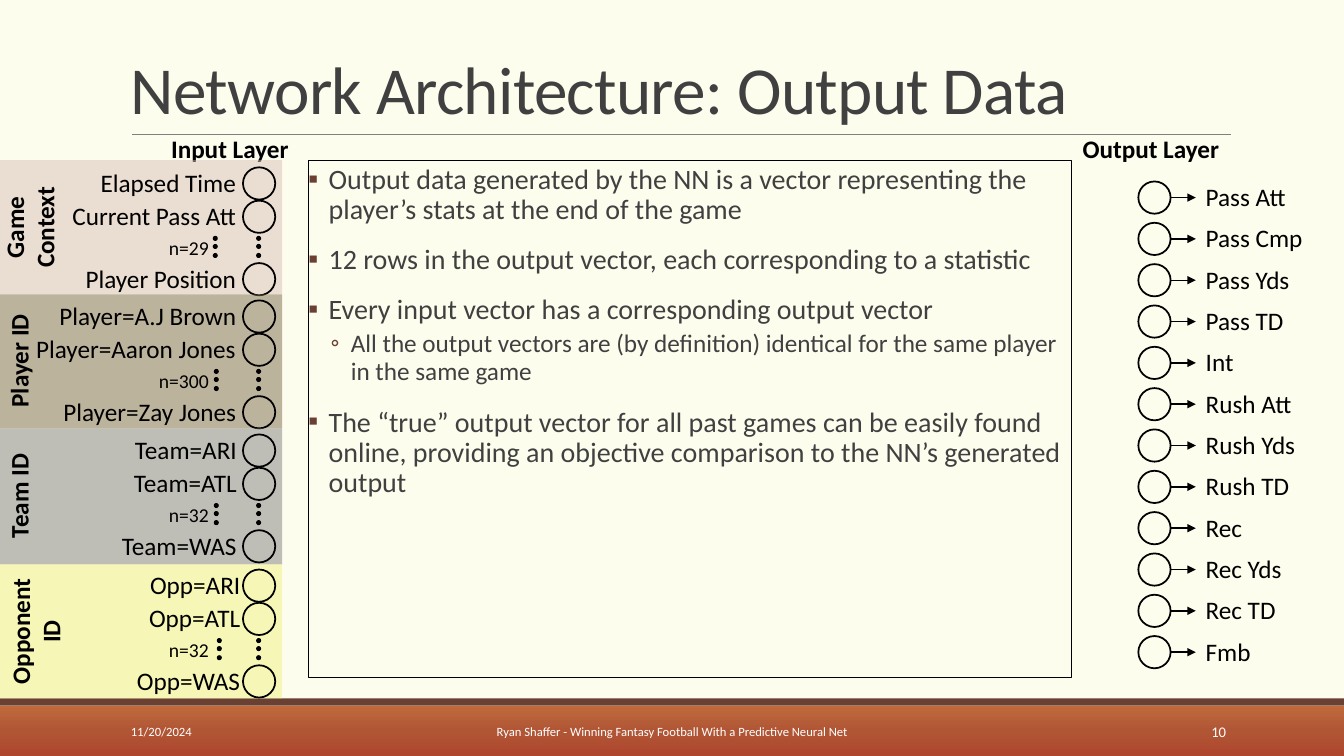
"""Builds the slide on the output data of a neural network, with its input and output layers."""
from copy import deepcopy
from dataclasses import dataclass
from lxml.etree import SubElement
from pptx import Presentation
from pptx.dml.color import RGBColor
from pptx.enum.shapes import MSO_CONNECTOR, MSO_SHAPE
from pptx.enum.text import MSO_ANCHOR, MSO_AUTO_SIZE, PP_ALIGN
from pptx.oxml.ns import qn
from pptx.util import Pt

PX = 9144


@dataclass
class Theme:
    font: str = "Calibri"
    back: str = "FDFDEE"
    ink: str = "000000"
    grey: str = "404040"
    rule: str = "808080"
    brown: str = "694032"
    white: str = "FFFFFF"
    footer: tuple = ("BF693C", "B15635", "AE452D")
    title: float = 48
    body: float = 20
    label: float = 18
    count: float = 14
    number: float = 10.5
    small: float = 9


T = Theme()
prs = Presentation()
prs.slide_width, prs.slide_height = 1333 * PX, 750 * PX
s = prs.slides.add_slide(prs.slide_layouts[6])
s.background.fill.solid()
s.background.fill.fore_color.rgb = RGBColor.from_string(T.back)


def add_shape(parent, kind, box, fill=None, line=None, alpha=None):
    sp = parent.shapes.add_shape(kind, *(v * PX for v in box))
    sp.shadow.inherit = False
    if fill:
        sp.fill.solid()
        sp.fill.fore_color.rgb = RGBColor.from_string(fill)
    else:
        sp.fill.background()
    if alpha:
        clr = sp._element.spPr.find(qn("a:solidFill"))[0]
        SubElement(clr, qn("a:alpha")).set("val", str(alpha * 1000))
    if line:
        sp.line.color.rgb = RGBColor.from_string(T.ink)
        sp.line.width = Pt(line)
    else:
        sp.line.fill.background()
    return sp


def add_text(parent, box, words, size=T.label, color=T.ink, bold=False, align=PP_ALIGN.LEFT,
             wrap=False, anchor=MSO_ANCHOR.TOP, grow=True):
    sp = parent.shapes.add_textbox(*(v * PX for v in box))
    tf = sp.text_frame
    tf.text = words
    tf.word_wrap = wrap
    tf.vertical_anchor = anchor
    tf.auto_size = MSO_AUTO_SIZE.SHAPE_TO_FIT_TEXT if grow else MSO_AUTO_SIZE.NONE
    p = tf.paragraphs[0]
    p.alignment = align
    f = p.runs[0].font
    f.name, f.size, f.bold = T.font, Pt(size), bold
    f.color.rgb = RGBColor.from_string(color)
    return sp


footer = add_shape(s, MSO_SHAPE.RECTANGLE, (0, 700, 1333, 50))
footer.fill.gradient()
footer.fill.gradient_angle = 270
stops = footer._element.spPr.find(qn("a:gradFill")).find(qn("a:gsLst"))
stops.insert(1, deepcopy(stops[0]))
for stop, color, position in zip(footer.fill.gradient_stops, T.footer, (0, 0.5, 1)):
    stop.color.rgb = RGBColor.from_string(color)
    stop.position = position
add_shape(s, MSO_SHAPE.RECTANGLE, (0, 693, 1333, 7), T.brown)

rule = s.shapes.add_connector(MSO_CONNECTOR.STRAIGHT, 131 * PX, 133 * PX, 1221 * PX, 133 * PX)
rule.line.color.rgb = RGBColor.from_string(T.rule)
rule.line.width = Pt(0.5)
SubElement(rule._element.spPr, qn("a:effectLst"))

title = add_text(s, (120, 31, 1100, 101), "Network Architecture: Output Data", T.title, T.grey,
                 wrap=True, anchor=MSO_ANCHOR.BOTTOM, grow=False)
p = title.text_frame.paragraphs[0]
p.line_spacing = 0.85
p.runs[0]._r.get_or_add_rPr().set("spc", "-50")

for box, words in (((159, 127, 138, 40), "Input Layer"), ((1063, 127, 157, 40), "Output Layer")):
    add_text(s, box, words, bold=True, align=PP_ALIGN.CENTER)

# name, name centre, name height, top, height, fill, first node, label right, dots left, count, count width, labels
bands = [
    ("Game Context", 30, 71, 159, 133, "D8BFB6", 166, 246, 211, "n=29", 67,
     [("Elapsed Time", 156), ("Current Pass Att", 184), ("Player Position", 171)]),
    ("Player ID", 19, 40, 292, 133, "7C6B4D", 298, 246, 212, "n=300", 85,
     [("Player=A.J Brown", 197), ("Player=Aaron Jones", 220), ("Player=Zay Jones", 193)]),
    ("Team ID", 19, 40, 425, 135, "808080", 431, 246, 212, "n=32", 67,
     [("Team=ARI", 122), ("Team=ATL", 123), ("Team=WAS", 135)]),
    ("Opponent ID", 36, 71, 560, 133, "F0F080", 565, 250, 215, "n=32", 67,
     [("Opp=ARI", 111), ("Opp=ATL", 112), ("Opp=WAS", 124)]),
]
for name, mid, deep, top, height, fill, node, right, dots, count, wide, labels in bands:
    add_shape(s, MSO_SHAPE.RECTANGLE, (0, top, 280, height), fill, alpha=50)
    add_text(s, (217 - wide, node + 63, wide, 34), count, T.count, align=PP_ALIGN.RIGHT, wrap=True)
    nodes = s.shapes.add_group_shape()
    for (label, width), dy in zip(labels, (0, 33, 95)):
        add_shape(nodes, MSO_SHAPE.OVAL, (241, node + dy, 32, 32), line=1.25)
        add_text(s, (right - width, node + dy - 5, width, 40), label)
    for x in (254, dots):
        ellipsis = s.shapes.add_group_shape()
        for dy in (68, 76, 85):
            add_shape(ellipsis, MSO_SHAPE.OVAL, (x, node + dy, 5, 5), T.ink)
    side = add_text(s, (mid - 67, top + (height - deep) // 2, 133, deep), name, bold=True,
                    align=PP_ALIGN.CENTER, wrap=True)
    side.rotation = 270

outputs = [("Pass Att", 101), ("Pass Cmp", 117), ("Pass Yds", 104), ("Pass TD", 98),
           ("Int", 48), ("Rush Att", 107), ("Rush Yds", 110), ("Rush TD", 104),
           ("Rec", 57), ("Rec Yds", 96), ("Rec TD", 90), ("Fmb", 65)]
layer = s.shapes.add_group_shape()
for i, (label, width) in enumerate(outputs):
    y = 196 + 41 * i
    add_shape(layer, MSO_SHAPE.OVAL, (1129, y - 16, 32, 32), line=1.25)
    add_text(layer, (1186, y - 21, width, 40), label)
    arrow = layer.shapes.add_connector(MSO_CONNECTOR.STRAIGHT, 1161 * PX, y * PX, 1186 * PX, y * PX)
    arrow.line.color.rgb = RGBColor.from_string(T.ink)
    arrow.line.width = Pt(1)
    SubElement(arrow.line._get_or_add_ln(), qn("a:tailEnd")).set("type", "triangle")
    SubElement(arrow._element.spPr, qn("a:effectLst"))

for box, words, size, align in (
        ((403, 706, 527, 40), "Ryan Shaffer - Winning Fantasy Football With a Predictive Neural Net",
         T.small, PP_ALIGN.CENTER),
        ((1083, 706, 143, 40), "10", T.number, PP_ALIGN.RIGHT),
        ((120, 706, 270, 40), "11/20/2024", T.small, PP_ALIGN.LEFT)):
    add_text(s, box, words, size, T.white, align=align, wrap=True, anchor=MSO_ANCHOR.MIDDLE, grow=False)

points = [
    (0, "Output data generated by the NN is a vector representing the player’s stats at the end of the game"),
    (0, "12 rows in the output vector, each corresponding to a statistic"),
    (0, "Every input vector has a corresponding output vector"),
    (1, "All the output vectors are (by definition) identical for the same player in the same game"),
    (0, "The “true” output vector for all past games can be easily found online, "
        "providing an objective comparison to the NN’s generated output"),
]
levels = [(20, 12, 2, "▪", T.body), (42, 2, 4, "◦", T.label)]
body = add_shape(s, MSO_SHAPE.RECTANGLE, (306, 159, 757, 513), line=1)
tf = body.text_frame
tf.word_wrap = True
tf.vertical_anchor = MSO_ANCHOR.TOP
tf.margin_left = tf.margin_right = 0
tf.margin_top = tf.margin_bottom = 5 * PX
tf.text = "\n".join(words for _, words in points)
for p, (level, _) in zip(tf.paragraphs, points):
    indent, before, after, bullet, size = levels[level]
    p.level = level
    p.alignment = PP_ALIGN.LEFT
    p.line_spacing = 0.9
    p.space_before, p.space_after = Pt(before), Pt(after)
    pPr = p._p.get_or_add_pPr()
    pPr.set("marL", str(indent * PX))
    pPr.set("indent", str(-20 * PX))
    SubElement(SubElement(pPr, qn("a:buClr")), qn("a:srgbClr")).set("val", T.brown)
    SubElement(pPr, qn("a:buFont")).set("typeface", T.font)
    SubElement(pPr, qn("a:buChar")).set("char", bullet)
    f = p.runs[0].font
    f.name, f.size = T.font, Pt(size)
    f.color.rgb = RGBColor.from_string(T.grey)

prs.save("out.pptx")
